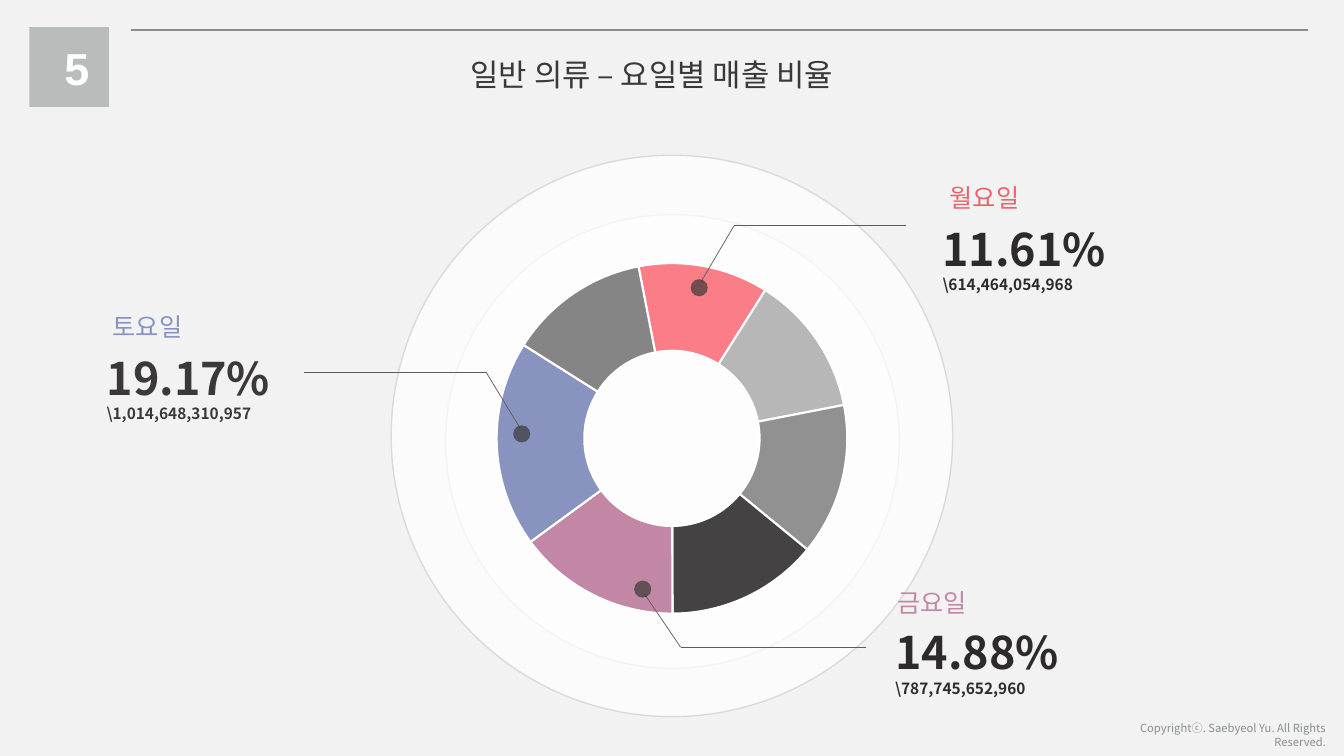
from itertools import pairwise

from pptx import Presentation
from pptx.chart.data import CategoryChartData
from pptx.dml.color import RGBColor
from pptx.enum.chart import XL_CHART_TYPE as Chart
from pptx.enum.shapes import MSO_CONNECTOR as Link, MSO_SHAPE as Shape
from pptx.enum.text import MSO_ANCHOR as Anchor, MSO_AUTO_SIZE as Fit, PP_ALIGN as Align
from pptx.oxml import parse_xml
from pptx.oxml.ns import nsdecls, qn
from pptx.util import Inches, Pt

SANS = "Noto Sans CJK KR"
INK = "3A3838"

deck = Presentation()
deck.slide_width, deck.slide_height = Inches(13.33), Inches(7.5)
slide = deck.slides.add_slide(deck.slide_layouts[6])
shapes = slide.shapes


def paint(fill, color, alpha=100):
    """Fill with a solid colour; alpha is the opacity in percent."""
    fill.solid()
    fill.fore_color.rgb = RGBColor.from_string(color)
    if alpha < 100:
        tint = fill._xPr.find(qn("a:solidFill"))[0]
        tint.append(parse_xml(f'<a:alpha {nsdecls("a")} val="{alpha * 1000}"/>'))


def write(box, lines, color, bold=False, align=Align.LEFT, wrap=True, font=SANS):
    """Add a text box; lines holds pairs of text and point size."""
    frame = shapes.add_textbox(*map(Inches, box)).text_frame
    frame.word_wrap = wrap
    frame.auto_size = Fit.SHAPE_TO_FIT_TEXT
    for i, (text, size) in enumerate(lines):
        para = frame.add_paragraph() if i else frame.paragraphs[0]
        para.text = text
        para.alignment = align
        para.font.size, para.font.name, para.font.bold = Pt(size), font, bold
        para.font.color.rgb = RGBColor.from_string(color)
        for run in para.runs:
            run._r.get_or_add_rPr().append(
                parse_xml(f'<a:ea {nsdecls("a")} typeface="{font}"/>'))
    return frame


paint(slide.background.fill, "F2F2F2")

# Rings behind the doughnut
for left, top, size in [(4.42, 2.13, 4.5), (3.88, 1.54, 5.57)]:
    ring = shapes.add_shape(Shape.OVAL, *map(Inches, (left, top, size, size)))
    ring.shadow.inherit = False
    paint(ring.fill, "FFFFFF", 70)
    paint(ring.line.fill, "DADADA")
    ring.line.width = Pt(1)

# Doughnut of sales by weekday
data = CategoryChartData()
data.categories = list("1234567")
data.add_series("Series 1", (12, 13, 14, 14, 15, 19, 13))
chart = shapes.add_chart(
    Chart.DOUGHNUT, *map(Inches, (3.83, 2.46, 5.67, 3.78)), data).chart
chart.has_legend = chart.has_title = False
chart.font.name, chart.font.size = "Arial", Pt(10)
chart.font.color.rgb = RGBColor.from_string(INK)
plot = chart.plots[0]
plot.vary_by_categories = True
ring = plot._element
ring.find(qn("c:firstSliceAng")).set("val", "349")
ring.find(qn("c:holeSize")).set("val", "68")
area = ring.getparent()
for old in area.findall(qn("c:layout")):
    area.remove(old)
area.insert(0, parse_xml(
    f'<c:layout {nsdecls("c")}><c:manualLayout><c:layoutTarget val="inner"/>'
    '<c:xMode val="edge"/><c:yMode val="edge"/><c:x val="0.19"/><c:y val="0.04"/>'
    '<c:w val="0.62"/><c:h val="0.92"/></c:manualLayout></c:layout>'))
tones = ["FA7D87", "B7B7B7", "919191", "444242", "C287A5", "8893C0", "868585"]
for i, tone in enumerate(tones):
    slice_ = plot.series[0].points[i].format
    paint(slice_.fill, tone)
    paint(slice_.line.fill, "FFFFFF")
    slice_.line.width = Pt(1.5)

# Header
rule = shapes.add_connector(Link.STRAIGHT, *map(Inches, (1.3, 0.3, 12.97, 0.3)))
rules = [(rule, "898F8D", 1.5)]
badge = shapes.add_shape(Shape.RECTANGLE, *map(Inches, (0.29, 0.27, 0.79, 0.79)))
badge.shadow.inherit = False
paint(badge.fill, "B8BCBB")
badge.line.fill.background()
write((0.54, 0.35, 0.28, 0.64), [("5", 32)], "FFFFFF", True, Align.CENTER, font="Arial")
title = write((4.57, 0.5, 4.12, 0.47), [("일반 의류 – 요일별 매출 비율", 22)], INK, wrap=False)
title.vertical_anchor = Anchor.MIDDLE

# Callouts: day, its place and colour, share, sum, place and colour, leader, dot
calls = [
    ("토요일", (1.02, 3.04), "8893C0", "19.17%", "\\1,014,648,310,957", (0.96, 3.43),
     INK, [(3.02, 3.69), (4.82, 3.69), (5.16, 4.25)], (5.09, 4.22)),
    ("금요일", (8.8, 5.78), "C287A5", "14.88%", "\\787,745,652,960", (8.78, 6.15),
     "2C2A2A", [(8.59, 6.42), (6.75, 6.42), (6.39, 5.89)], (6.29, 5.76)),
    ("월요일", (9.32, 1.76), "ED636D", "11.61%", "\\614,464,054,968", (9.25, 2.15),
     "2C2A2A", [(8.99, 2.24), (7.28, 2.24), (6.95, 2.8)], (6.85, 2.77)),
]
for day, spot, hue, share, total, place, dark, bends, mark in calls:
    write((*spot, 1.85, 0.42), [(day, 18)], hue)
    write((*place, 1.9, 0.82), [(share, 32), (total, 11)], dark, True, wrap=False)
    for start, end in pairwise(bends):
        leg = shapes.add_connector(Link.STRAIGHT, *map(Inches, start + end))
        rules.append((leg, "5D5B5B", 0.5))
    dot = shapes.add_shape(Shape.OVAL, *map(Inches, (*mark, 0.17, 0.17)))
    dot.shadow.inherit = False
    paint(dot.fill, INK, 70)
    dot.line.fill.background()

for line, color, width in rules:
    paint(line.line.fill, color)
    line.line.width = Pt(width)
    line._element.spPr.append(parse_xml(f'<a:effectLst {nsdecls("a")}/>'))

write((10.8, 7.11, 2.45, 0.24), [("Copyrightⓒ. Saebyeol Yu. All Rights Reserved.", 8)],
      "898F8D", align=Align.RIGHT)

deck.save("out.pptx")
